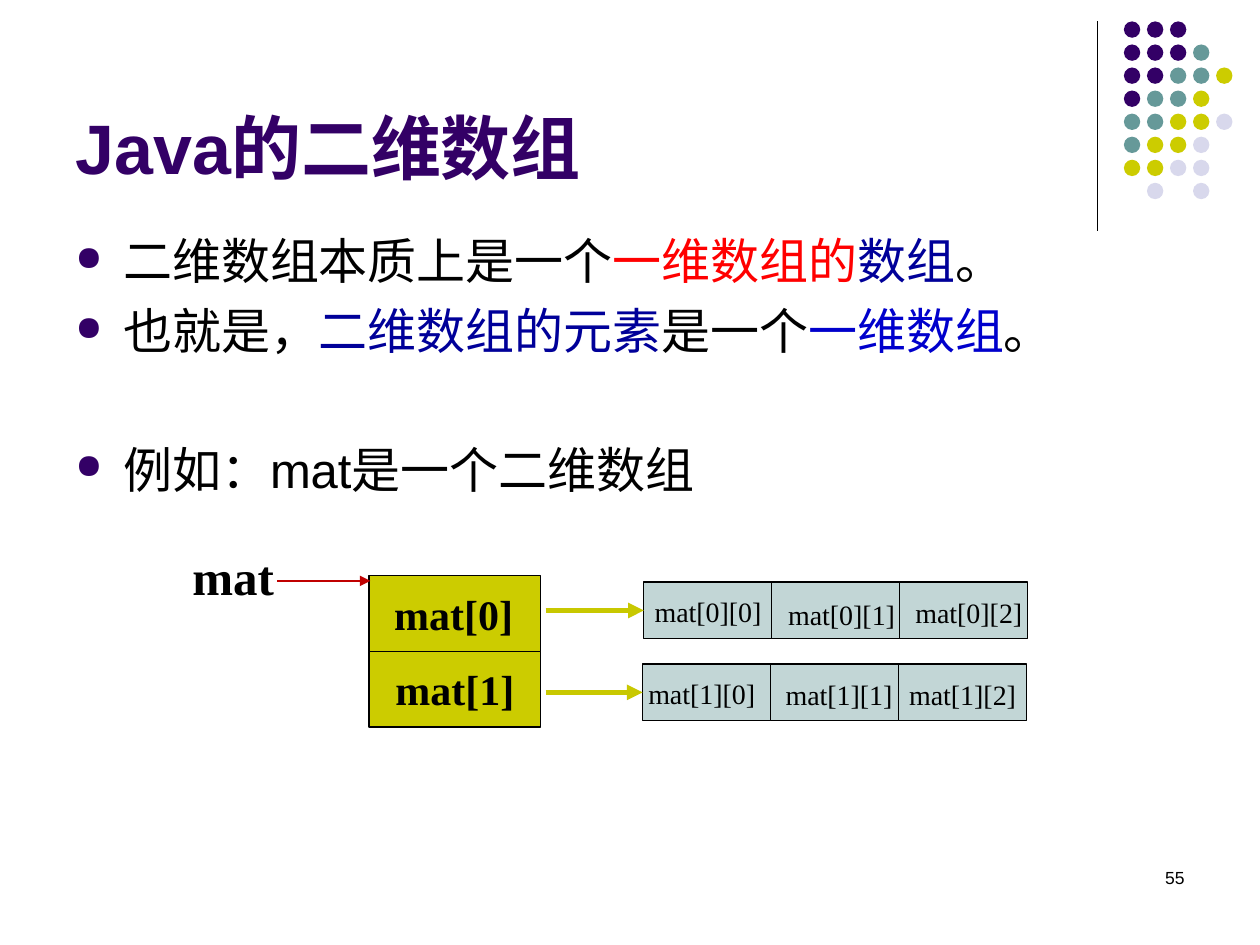
from dataclasses import dataclass
from typing import NamedTuple

from lxml.etree import SubElement
from pptx import Presentation
from pptx.dml.color import RGBColor
from pptx.enum.shapes import MSO_CONNECTOR as Connector, MSO_SHAPE as Shape
from pptx.enum.text import MSO_ANCHOR as Anchor, PP_ALIGN as Align
from pptx.oxml.ns import qn
from pptx.util import Inches, Pt


@dataclass(frozen=True)
class Theme:
    purple: str = "330066"
    teal: str = "669999"
    olive: str = "CCCC00"
    lavender: str = "D8D8EC"
    pale_teal: str = "C2D6D6"
    arrow: str = "C8C800"
    dark_red: str = "C00000"
    red: str = "FF0000"
    navy: str = "000099"
    blue: str = "0000CC"
    black: str = "000000"
    sans: str = "Arial"
    serif: str = "Times New Roman"
    cjk: str = "Noto Sans CJK SC"
    cjk_body: str = "Noto Sans CJK JP"
    title_size: int = 40
    body_size: int = 28
    row_size: int = 24
    cell_size: int = 16
    number_size: int = 10


THEME = Theme()
COLUMNS, ROWS = 100, 75
SLIDE_WIDTH, SLIDE_HEIGHT = Inches(10), Inches(7.5)


class Frame(NamedTuple):
    """A rectangle in grid columns and rows."""
    left: float
    top: float
    width: float
    height: float


class Span(NamedTuple):
    text: str
    color: str = THEME.black
    font: str = THEME.sans


class Bullet(NamedTuple):
    spans: list[Span]
    space_before: float


class Label(NamedTuple):
    text: str
    frame: Frame
    size: int
    bold: bool = False
    align: Align = Align.CENTER


class Block(NamedTuple):
    """A row or column of equal rectangles, starting at first."""
    first: Frame
    count: int
    step_x: float
    step_y: float
    fill: str


DOTS = ["PPP", "PPPT", "PPTTO", "PTTO", "TTOOL", "TOOL", "OOLL", " L L"]
DOT_COLORS = {"P": THEME.purple, "T": THEME.teal, "O": THEME.olive, "L": THEME.lavender}
DOT_PITCH, DOT_SIZE = 1.83, 1.3

BULLETS = [
    Bullet([Span("二维数组", font=THEME.cjk_body), Span("本质上是一个"),
            Span("一维数组的", THEME.red, THEME.cjk_body),
            Span("数组", THEME.navy, THEME.cjk_body), Span("。")], 0),
    Bullet([Span("也就是，"), Span("二维数组的元素", THEME.navy, THEME.cjk_body),
            Span("是一个"), Span("一维数组", THEME.blue, THEME.cjk), Span("。")], 6.5),
    Bullet([Span("例如：mat是一个二维数组")], 45.5),
]

ROW_BLOCK = Block(Frame(29.3, 45.7, 13.6, 6), 2, 0, 6, THEME.olive)
CELL_BLOCKS = [
    Block(Frame(51.1, 46.2, 10.15, 4.5), 3, 10.15, 0, THEME.pale_teal),
    Block(Frame(51, 52.7, 10.2, 4.5), 3, 10.15, 0, THEME.pale_teal),
]
LABELS = [
    Label("mat", Frame(13.4, 42.9, 10.2, 5.7), THEME.body_size, True),
    Label("mat[0]", Frame(30.3, 46.2, 12.7, 5), THEME.row_size, True, Align.LEFT),
    Label("mat[1]", Frame(30.1, 52.2, 12, 5), THEME.row_size, True),
] + [
    Label(f"mat[{row}][{column}]", Frame(left, top, 12, 3.7), THEME.cell_size)
    for row, places in enumerate([
        [(50.2, 46.7), (60.8, 46.9), (70.9, 46.8)],
        [(49.7, 53.2), (60.6, 53.3), (70.4, 53.3)],
    ])
    for column, (left, top) in enumerate(places)
]


def across(columns: float) -> int:
    return round(SLIDE_WIDTH * columns / COLUMNS)


def down(rows: float) -> int:
    return round(SLIDE_HEIGHT * rows / ROWS)


def place(frame: Frame) -> tuple[int, int, int, int]:
    return across(frame.left), down(frame.top), across(frame.width), down(frame.height)


def style(run, size: int, color: str, font: str, bold: bool = False) -> None:
    run.font.size, run.font.bold, run.font.name = Pt(size), bold, font
    run.font.color.rgb = RGBColor.from_string(color)
    east_asian = font if font.startswith("Noto") else THEME.cjk
    SubElement(run.font._element, qn("a:ea"), typeface=east_asian)


def add_shape(page, kind: Shape, frame: Frame, fill: str, outlined: bool = False):
    shape = page.shapes.add_shape(kind, *place(frame))
    shape.shadow.inherit = False
    shape.fill.solid()
    shape.fill.fore_color.rgb = RGBColor.from_string(fill)
    if outlined:
        shape.line.color.rgb = RGBColor.from_string(THEME.black)
        shape.line.width = Pt(0.75)
    else:
        shape.line.fill.background()
    return shape


def add_block(page, block: Block) -> list:
    left, top, width, height = block.first
    return [add_shape(page, Shape.RECTANGLE,
                      Frame(left + i * block.step_x, top + i * block.step_y, width, height),
                      block.fill, outlined=True)
            for i in range(block.count)]


def add_line(page, start: tuple[float, float], end: tuple[float, float],
             color: str, weight: float, arrow: bool = True):
    line = page.shapes.add_connector(Connector.STRAIGHT, across(start[0]), down(start[1]),
                                     across(end[0]), down(end[1]))
    line.line.color.rgb = RGBColor.from_string(color)
    line.line.width = Pt(weight)
    if arrow:
        SubElement(line.line._get_or_add_ln(), qn("a:tailEnd"), type="triangle")
    SubElement(line._element.spPr, qn("a:effectLst"))
    return line


def add_label(page, label: Label) -> None:
    box = page.shapes.add_textbox(*place(label.frame))
    box.text_frame.word_wrap = True
    para = box.text_frame.paragraphs[0]
    para.text, para.alignment = label.text, label.align
    font = THEME.sans if label.size == THEME.number_size else THEME.serif
    style(para.runs[0], label.size, THEME.black, font, label.bold)


def add_bullets(page, frame: Frame, bullets: list[Bullet]) -> None:
    text = page.shapes.add_textbox(*place(frame)).text_frame
    text.word_wrap = True
    for i, bullet in enumerate(bullets):
        para = text.add_paragraph() if i else text.paragraphs[0]
        para.space_before = Pt(bullet.space_before)
        props = para._p.get_or_add_pPr()
        props.set("marL", str(Inches(0.38)))
        props.set("indent", str(-Inches(0.38)))
        SubElement(SubElement(props, qn("a:buClr")), qn("a:srgbClr"), val=THEME.purple)
        SubElement(props, qn("a:buSzPct"), val="70000")
        SubElement(props, qn("a:buChar"), char="●")
        for span in bullet.spans:
            run = para.add_run()
            run.text = span.text
            style(run, THEME.body_size, span.color, span.font)


def add_title(page, frame: Frame, words: str) -> None:
    title = page.shapes.title
    title.left, title.top, title.width, title.height = place(frame)
    title.text_frame.text = words
    title.text_frame.vertical_anchor = Anchor.BOTTOM
    para = title.text_frame.paragraphs[0]
    para.alignment = Align.LEFT
    style(para.runs[0], THEME.title_size, THEME.purple, THEME.sans, True)


def main() -> None:
    deck = Presentation()
    deck.slide_width, deck.slide_height = SLIDE_WIDTH, SLIDE_HEIGHT
    page = deck.slides.add_slide(deck.slide_layouts[5])
    add_line(page, (87.1, 1.7), (87.1, 18.3), THEME.black, 0.75, arrow=False)
    for row, dots in enumerate(DOTS):
        for column, dot in enumerate(dots):
            if dot in DOT_COLORS:
                frame = Frame(89.2 + column * DOT_PITCH, 1.7 + row * DOT_PITCH,
                              DOT_SIZE, DOT_SIZE)
                add_shape(page, Shape.OVAL, frame, DOT_COLORS[dot])
    add_title(page, Frame(5, 1.3, 82.5, 14.2), "Java的二维数组")
    add_bullets(page, Frame(5, 17.8, 90, 49.2), BULLETS)
    add_label(page, Label("55", Frame(71.7, 68.3, 23.3, 5), THEME.number_size,
                          align=Align.RIGHT))
    add_block(page, ROW_BLOCK)
    for block in CELL_BLOCKS:
        cells = add_block(page, block)
        middle = block.first.top + block.first.height / 2
        arrow = add_line(page, (43.3, middle), (block.first.left, middle), THEME.arrow, 3)
        arrow.end_connect(cells[0], 1)
    add_line(page, (22, 46.1), (29.4, 46.1), THEME.dark_red, 1.5)
    for label in LABELS:
        add_label(page, label)
    deck.save("out.pptx")


if __name__ == "__main__":
    main()
